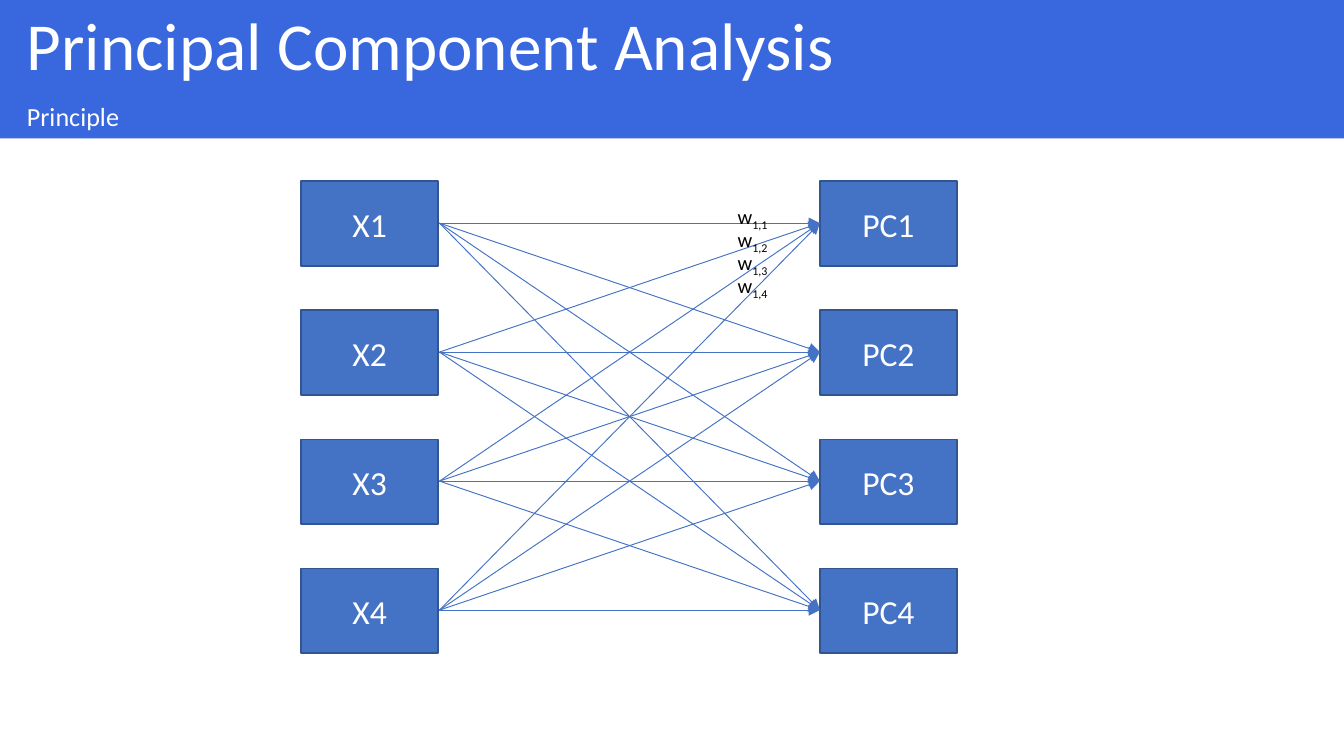
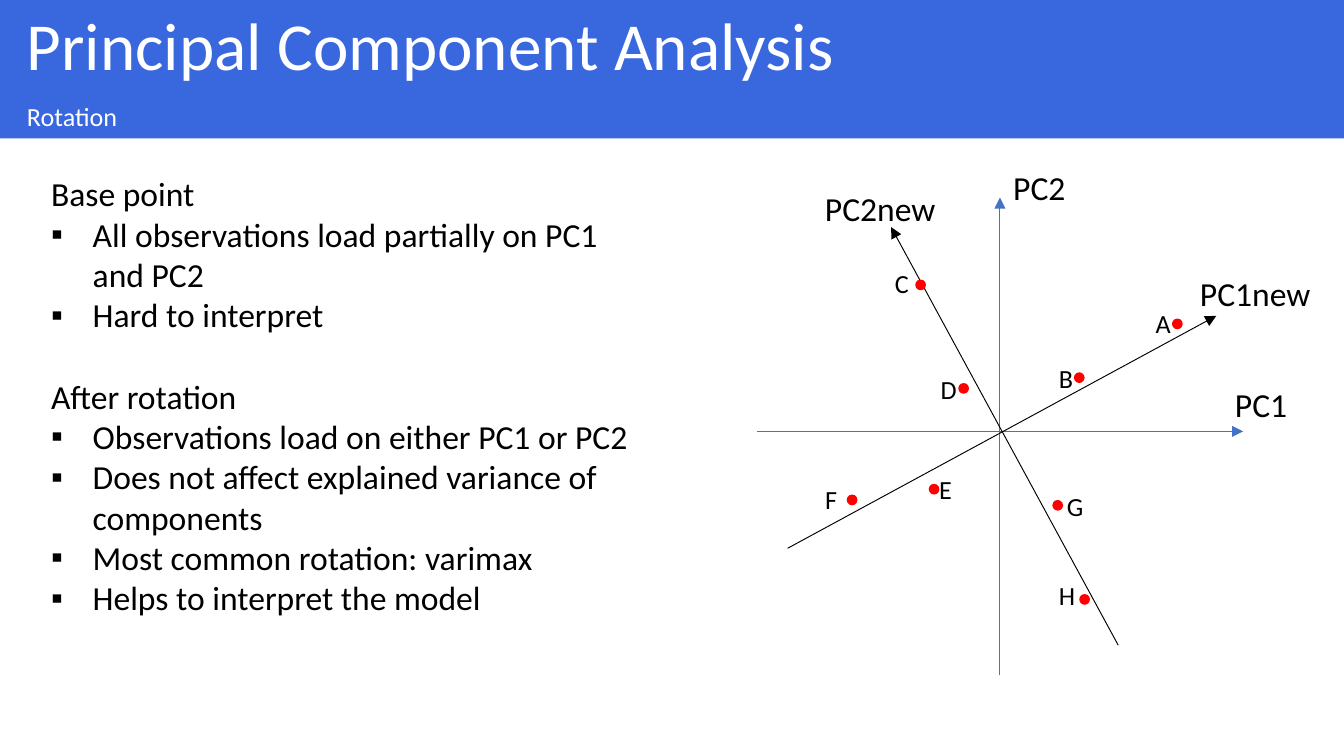
from dataclasses import dataclass
from itertools import product

from lxml import etree
from pptx import Presentation
from pptx.dml.color import RGBColor
from pptx.enum.shapes import MSO_CONNECTOR, MSO_SHAPE
from pptx.enum.text import MSO_ANCHOR, MSO_AUTO_SIZE, PP_ALIGN
from pptx.oxml.ns import qn
from pptx.util import Emu, Pt

RECTANGLE = MSO_SHAPE.RECTANGLE
OVAL = MSO_SHAPE.OVAL
STRAIGHT = MSO_CONNECTOR.STRAIGHT
MIDDLE = MSO_ANCHOR.MIDDLE
TOP = MSO_ANCHOR.TOP
LEFT = PP_ALIGN.LEFT
CENTER = PP_ALIGN.CENTER
NO_FIT = MSO_AUTO_SIZE.NONE
GROW = MSO_AUTO_SIZE.SHAPE_TO_FIT_TEXT

EMU_PER_PX = 9144
FONT = "Calibri"
BAND = "3967DE"
ACCENT = "4472C4"
OUTLINE = "325491"
WHITE = "FFFFFF"
BLACK = "000000"
RED = "FF0000"

PAGE_WIDTH = 1000
TITLE_HEIGHT = 73
SUBTITLE_TOP, SUBTITLE_HEIGHT = 72, 31
TITLE = "Principal Component Analysis"
CONTENT_LAYOUT, TWO_CONTENT_LAYOUT = 1, 3

NODE_WIDTH, NODE_HEIGHT = 102, 63
NODE_TOP, NODE_PITCH = 135, 96
NODE_COUNT = 4
INPUT_LEFT, COMPONENT_LEFT = 224, 610
WIRE_START, WIRE_TOP = 327, 166
WEIGHT_LEFT, WEIGHT_TOP, WEIGHT_PITCH = 539, 147, 17

DOT_SIZE = 8
BULLET_INDENT = 31


@dataclass(frozen=True)
class Area:
    left: int
    top: int
    width: int
    height: int


@dataclass(frozen=True)
class Axis:
    start: tuple[int, int]
    end: tuple[int, int]
    color: str
    name: str
    label: Area


@dataclass(frozen=True)
class Observation:
    name: str
    dot: tuple[int, int]
    label: Area


@dataclass(frozen=True)
class Topic:
    heading: str
    points: tuple[str, ...]


AXES = (
    Axis((744, 502), (744, 147), ACCENT, "PC2", Area(744, 119, 59, 40)),
    Axis((563, 321), (925, 321), ACCENT, "PC1", Area(909, 281, 59, 40)),
    Axis((832, 480), (663, 169), BLACK, "PC2new", Area(604, 135, 103, 40)),
    Axis((586, 408), (905, 235), BLACK, "PC1new", Area(883, 198, 103, 40)),
)

OBSERVATIONS = (
    Observation("A", (872, 237), Area(850, 224, 32, 34)),
    Observation("B", (799, 277), Area(778, 265, 31, 34)),
    Observation("C", (681, 208), Area(656, 194, 31, 34)),
    Observation("D", (713, 285), Area(690, 273, 32, 34)),
    Observation("E", (691, 360), Area(689, 347, 30, 34)),
    Observation("F", (630, 368), Area(604, 355, 29, 34)),
    Observation("G", (783, 372), Area(784, 360, 33, 34)),
    Observation("H", (803, 442), Area(778, 426, 32, 34)),
)

TOPICS = (
    Topic("Base point", (
        "All observations load partially on PC1 and PC2",
        "Hard to interpret",
    )),
    Topic("After rotation", (
        "Observations load on either PC1 or PC2",
        "Does not affect explained variance of components",
        "Most common rotation: varimax",
        "Helps to interpret the model",
    )),
)


def px(length: int) -> Emu:
    return Emu(length * EMU_PER_PX)


def rgb(color: str) -> RGBColor:
    return RGBColor.from_string(color)


def bounds(area: Area) -> tuple[Emu, ...]:
    return px(area.left), px(area.top), px(area.width), px(area.height)


def move(shape, area: Area) -> None:
    shape.left, shape.top, shape.width, shape.height = bounds(area)


def fill(shape, color: str) -> None:
    shape.fill.solid()
    shape.fill.fore_color.rgb = rgb(color)


def add_span(para, text: str, size: int, color: str = BLACK):
    span = para.add_run()
    span.text = text
    span.font.name = FONT
    span.font.size = Pt(size)
    span.font.color.rgb = rgb(color)
    return span


def set_bullet(para, symbol: str = "") -> None:
    properties = para._p.get_or_add_pPr()
    indent = px(BULLET_INDENT) if symbol else 0
    properties.set("marL", str(indent))
    properties.set("indent", str(-indent))
    if symbol:
        etree.SubElement(properties, qn("a:buChar")).set("char", symbol)
    else:
        etree.SubElement(properties, qn("a:buNone"))


def add_band(box, area: Area, text: str, size: int) -> None:
    move(box, area)
    fill(box, BAND)
    frame = box.text_frame
    frame.auto_size = NO_FIT
    frame.word_wrap = True
    frame.vertical_anchor = MIDDLE
    frame.margin_left, frame.margin_right = px(20), px(10)
    frame.margin_top = frame.margin_bottom = px(5)
    para = frame.paragraphs[0]
    para.alignment = LEFT
    para.line_spacing = 0.9
    para.space_before = Pt(10)
    set_bullet(para)
    add_span(para, text, size, WHITE)


def add_page(deck, layout: int, subtitle: str):
    page = deck.slides.add_slide(deck.slide_layouts[layout])
    add_band(page.shapes.title, Area(0, 0, PAGE_WIDTH, TITLE_HEIGHT), TITLE, 36)
    add_band(page.placeholders[1],
             Area(0, SUBTITLE_TOP, PAGE_WIDTH, SUBTITLE_HEIGHT), subtitle, 14)
    return page


def add_label(page, area: Area, text: str, size: int, subscript: str = "") -> None:
    box = page.shapes.add_textbox(*bounds(area))
    box.text_frame.word_wrap = False
    box.text_frame.auto_size = GROW
    para = box.text_frame.paragraphs[0]
    add_span(para, text, size)
    if subscript:
        span = add_span(para, subscript, size)
        span._r.get_or_add_rPr().set("baseline", "-25000")


def add_node(page, left: int, row: int, text: str) -> None:
    area = Area(left, NODE_TOP + row * NODE_PITCH, NODE_WIDTH, NODE_HEIGHT)
    node = page.shapes.add_shape(RECTANGLE, *bounds(area))
    node.shadow.inherit = False
    fill(node, ACCENT)
    node.line.color.rgb = rgb(OUTLINE)
    node.line.width = Pt(1)
    node.text_frame.vertical_anchor = MIDDLE
    para = node.text_frame.paragraphs[0]
    para.alignment = CENTER
    add_span(para, text, 18, WHITE)


def add_arrow(page, start: tuple[int, int], end: tuple[int, int], color: str) -> None:
    arrow = page.shapes.add_connector(STRAIGHT, *map(px, start + end))
    arrow.line.color.rgb = rgb(color)
    arrow.line.width = Pt(0.5)
    head = etree.SubElement(arrow.line._get_or_add_ln(), qn("a:tailEnd"))
    head.set("type", "triangle")
    etree.SubElement(arrow._element.spPr, qn("a:effectLst"))


def add_dot(page, position: tuple[int, int]) -> None:
    dot = page.shapes.add_shape(OVAL, *bounds(Area(*position, DOT_SIZE, DOT_SIZE)))
    dot.shadow.inherit = False
    fill(dot, RED)
    dot.line.fill.background()


def add_topics(box, area: Area, topics: tuple[Topic, ...]) -> None:
    move(box, area)
    frame = box.text_frame
    frame.word_wrap = True
    frame.auto_size = GROW
    frame.vertical_anchor = TOP
    for index, topic in enumerate(topics):
        para = frame.add_paragraph() if index else frame.paragraphs[0]
        para.space_before = Pt(22 if index else 0)
        set_bullet(para)
        add_span(para, topic.heading, 18)
        for point in topic.points:
            para = frame.add_paragraph()
            para.space_before = Pt(0)
            set_bullet(para, "▪")
            add_span(para, point, 18)


def build_principle(deck) -> None:
    page = add_page(deck, CONTENT_LAYOUT, "Principle")
    for left, prefix in ((INPUT_LEFT, "X"), (COMPONENT_LEFT, "PC")):
        for row in range(NODE_COUNT):
            add_node(page, left, row, f"{prefix}{row + 1}")
    for source, target in product(range(NODE_COUNT), repeat=2):
        add_arrow(page, (WIRE_START, WIRE_TOP + source * NODE_PITCH),
                  (COMPONENT_LEFT, WIRE_TOP + target * NODE_PITCH), ACCENT)
    for row in range(NODE_COUNT):
        area = Area(WEIGHT_LEFT, WEIGHT_TOP + row * WEIGHT_PITCH, 44, 29)
        add_label(page, area, "w", 11, f"1,{row + 1}")


def build_rotation(deck) -> None:
    page = add_page(deck, TWO_CONTENT_LAYOUT, "Rotation")
    add_topics(page.placeholders[2], Area(28, 124, 454, 374), TOPICS)
    for axis in AXES:
        add_arrow(page, axis.start, axis.end, axis.color)
        add_label(page, axis.label, axis.name, 18)
    for observation in OBSERVATIONS:
        add_dot(page, observation.dot)
        add_label(page, observation.label, observation.name, 14)


def main() -> None:
    deck = Presentation()
    deck.slide_width = px(PAGE_WIDTH)
    deck.slide_height = Emu(deck.slide_width * 9 // 16)
    build_principle(deck)
    build_rotation(deck)
    deck.save("out.pptx")


if __name__ == "__main__":
    main()
